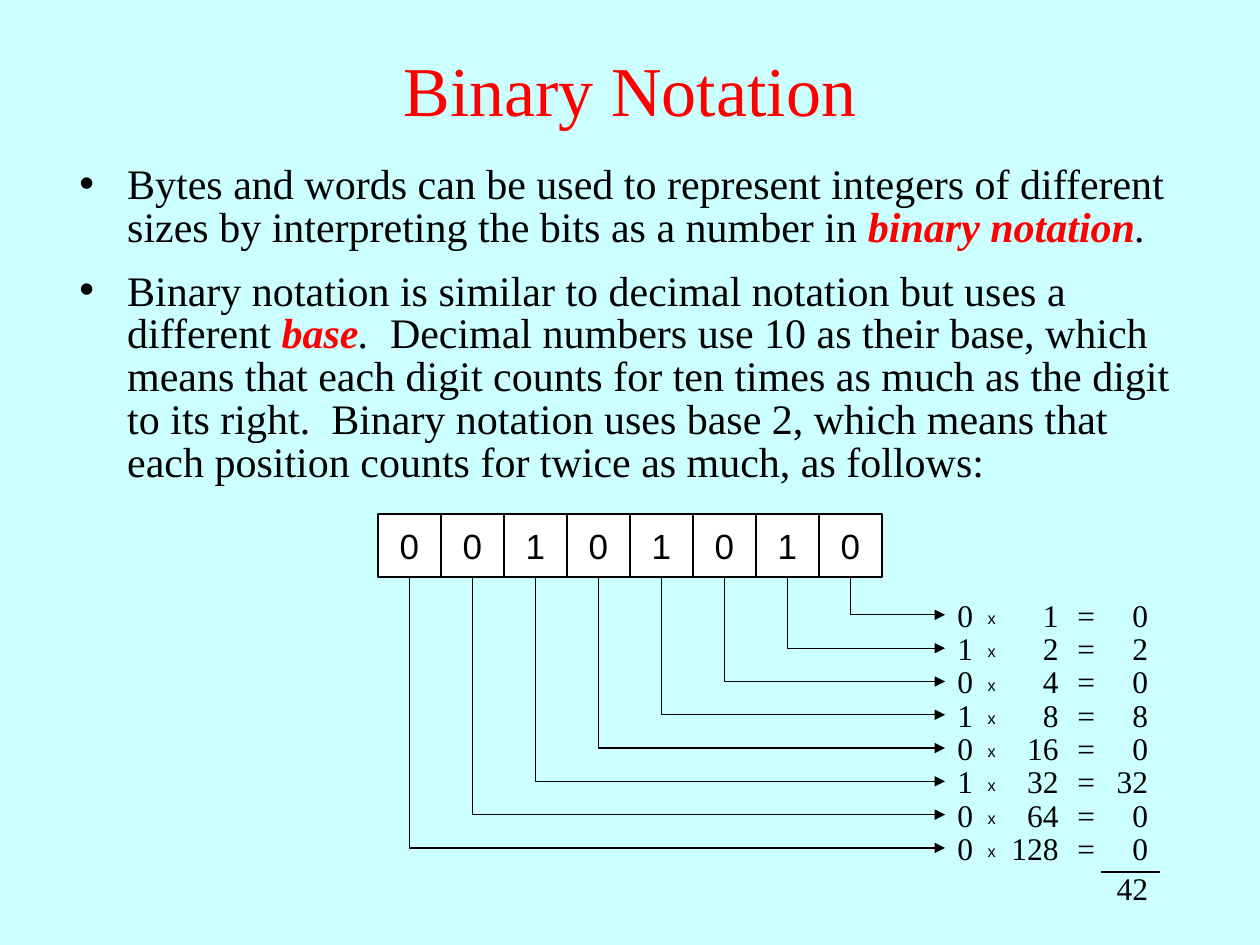
from pptx import Presentation
from pptx.dml.color import RGBColor
from pptx.enum.shapes import MSO_CONNECTOR, MSO_SHAPE
from pptx.enum.text import MSO_ANCHOR, MSO_AUTO_SIZE, PP_ALIGN
from pptx.oxml.ns import qn
from pptx.util import Inches, Pt
from lxml import etree

LEFT, CENTER, RIGHT = PP_ALIGN.LEFT, PP_ALIGN.CENTER, PP_ALIGN.RIGHT
MIDDLE, TOP = MSO_ANCHOR.MIDDLE, MSO_ANCHOR.TOP
STRAIGHT, ELBOW = MSO_CONNECTOR.STRAIGHT, MSO_CONNECTOR.ELBOW
NO_AUTOFIT = MSO_AUTO_SIZE.NONE
RECTANGLE = MSO_SHAPE.RECTANGLE
SERIF, SANS = "Times New Roman", "Arial"
COLORS = {
    "background": "CCFFFF",
    "cell": "FFFFFF",
    "ink": "000000",
    "accent": "FF0000",
}

BITS = "00101010"
CELL = 0.5
CELLS_LEFT, CELLS_TOP = 3, 4.08
ROWS_TOP, LAST_ROW_TOP = 4.68, 6.53
ROW_STEP = (LAST_ROW_TOP - ROWS_TOP) / (len(BITS) - 1)
ROW_HEIGHT = 0.4
ARROW_END = 7.5

# Each run is (text, bold, italic, color).
BULLETS = [
    [
        ("Bytes and words can be used to represent integers of different sizes "
         "by interpreting the bits as a number in ", False, False, "ink"),
        ("binary notation", True, True, "accent"),
        (".", False, True, "ink"),
    ],
    [
        ("Binary notation is similar to decimal notation but uses a different ",
         False, False, "ink"),
        ("base", True, True, "accent"),
        (".", False, True, "ink"),
        ("  Decimal numbers use 10 as their base, which means that each digit "
         "counts for ten times as much as the digit to its right.  Binary "
         "notation uses base 2, which means that each position counts for "
         "twice as much, as follows:", False, False, "ink"),
    ],
]


def rgb(name):
    return RGBColor.from_string(COLORS[name])


class SlideBuilder:
    def __init__(self, slide):
        self.slide = slide
        background = slide.background.fill
        background.solid()
        background.fore_color.rgb = rgb("background")

    def run(self, paragraph, text, size, font=SERIF, color="ink", bold=False, italic=False):
        run = paragraph.add_run()
        run.text = text
        run.font.size = Pt(size)
        run.font.name = font
        run.font.bold = bold
        run.font.italic = italic
        run.font.color.rgb = rgb(color)
        return run

    def place(self, shape, left, top, width, height, anchor):
        shape.left, shape.top = Inches(left), Inches(top)
        shape.width, shape.height = Inches(width), Inches(height)
        shape.text_frame.vertical_anchor = anchor
        shape.text_frame.auto_size = NO_AUTOFIT
        return shape.text_frame

    def title(self, text):
        frame = self.place(self.slide.shapes.title, 0, 0.08, 10, 1.25, MIDDLE)
        paragraph = frame.paragraphs[0]
        paragraph.alignment = CENTER
        self.run(paragraph, text, 40, color="accent")

    def bullets(self, items):
        frame = self.place(self.slide.placeholders[1], 0.53, 1.26, 8.89, 2.69, TOP)
        for index, runs in enumerate(items):
            paragraph = frame.add_paragraph() if index else frame.paragraphs[0]
            properties = paragraph._p.get_or_add_pPr()
            properties.set("marL", str(Inches(0.38)))
            properties.set("indent", str(Inches(-0.38)))
            etree.SubElement(properties, qn("a:buChar")).set("char", "•")
            paragraph.line_spacing = 0.85
            paragraph.space_before = Pt(0)
            paragraph.space_after = Pt(12)
            for text, bold, italic, color in runs:
                self.run(paragraph, text, 24, color=color, bold=bold, italic=italic)

    def bit_cell(self, bit, left):
        cell = self.slide.shapes.add_shape(
            RECTANGLE, Inches(left), Inches(CELLS_TOP), Inches(CELL), Inches(CELL))
        cell.shadow.inherit = False
        cell.fill.solid()
        cell.fill.fore_color.rgb = rgb("cell")
        cell.line.color.rgb = rgb("ink")
        cell.line.width = Pt(0.75)
        frame = cell.text_frame
        frame.word_wrap = False
        frame.vertical_anchor = MIDDLE
        paragraph = frame.paragraphs[0]
        paragraph.alignment = CENTER
        self.run(paragraph, bit, 20, SANS)

    def label(self, text, left, top, width, align=RIGHT):
        box = self.slide.shapes.add_textbox(
            Inches(left), Inches(top), Inches(width), Inches(ROW_HEIGHT))
        box.text_frame.word_wrap = True
        paragraph = box.text_frame.paragraphs[0]
        paragraph.alignment = align
        self.run(paragraph, text, 18)
        return paragraph

    def factor(self, bit, top):
        """Write a bit and, at a tab stop, the raised multiplication sign."""
        paragraph = self.label(bit, 7.5, top, 1.25, LEFT)
        tabs = etree.SubElement(paragraph._p.get_or_add_pPr(), qn("a:tabLst"))
        stop = etree.SubElement(tabs, qn("a:tab"))
        stop.set("pos", str(Inches(0.24)))
        stop.set("algn", "l")
        sign = self.run(paragraph, "\tx", 16, SANS)
        sign.font._element.set("baseline", "10000")

    def line(self, kind, x1, y1, x2, y2):
        line = self.slide.shapes.add_connector(
            kind, Inches(x1), Inches(y1), Inches(x2), Inches(y2))
        line.line.color.rgb = rgb("ink")
        line.line.width = Pt(0.75)
        etree.SubElement(line._element.spPr, qn("a:effectLst"))
        return line

    def elbow_arrow(self, x1, y1, x2, y2):
        """Go down from the start, then right to the arrowhead.

        The one-bend preset runs across first, so it is mirrored and turned
        by 270 degrees; its unturned box has width and height exchanged.
        """
        middle_x, middle_y = (x1 + x2) / 2, (y1 + y2) / 2
        half_width, half_height = (y2 - y1) / 2, (x2 - x1) / 2
        arrow = self.line(ELBOW, middle_x + half_width, middle_y - half_height,
                          middle_x - half_width, middle_y + half_height)
        properties = arrow._element.spPr
        properties.find(qn("a:xfrm")).set("rot", str(270 * 60000))
        properties.find(qn("a:prstGeom")).set("prst", "bentConnector2")
        head = etree.SubElement(properties.find(qn("a:ln")), qn("a:tailEnd"))
        head.set("type", "triangle")


def main():
    presentation = Presentation()
    presentation.slide_width, presentation.slide_height = Inches(10), Inches(7.5)
    layout = presentation.slide_layouts[1]
    builder = SlideBuilder(presentation.slides.add_slide(layout))

    builder.title("Binary Notation")
    builder.bullets(BULLETS)

    for column, bit in enumerate(BITS):
        builder.bit_cell(bit, CELLS_LEFT + column * CELL)

    for power, bit in enumerate(reversed(BITS)):
        weight = 2 ** power
        top = ROWS_TOP + power * ROW_STEP
        bit_center = CELLS_LEFT + (len(BITS) - power - 0.5) * CELL
        builder.elbow_arrow(bit_center, CELLS_TOP + CELL, ARROW_END, top + ROW_HEIGHT / 2)
        builder.factor(bit, top)
        builder.label(str(weight), 7.83, top, 0.67)
        builder.label("=", 8.33, top, 0.58, CENTER)
        builder.label(str(int(bit) * weight), 8.71, top, 0.5)

    builder.line(STRAIGHT, 8.74, 6.92, 9.21, 6.92)
    builder.label(str(int(BITS, 2)), 8.71, 6.85, 0.5)

    presentation.save("out.pptx")


if __name__ == "__main__":
    main()
